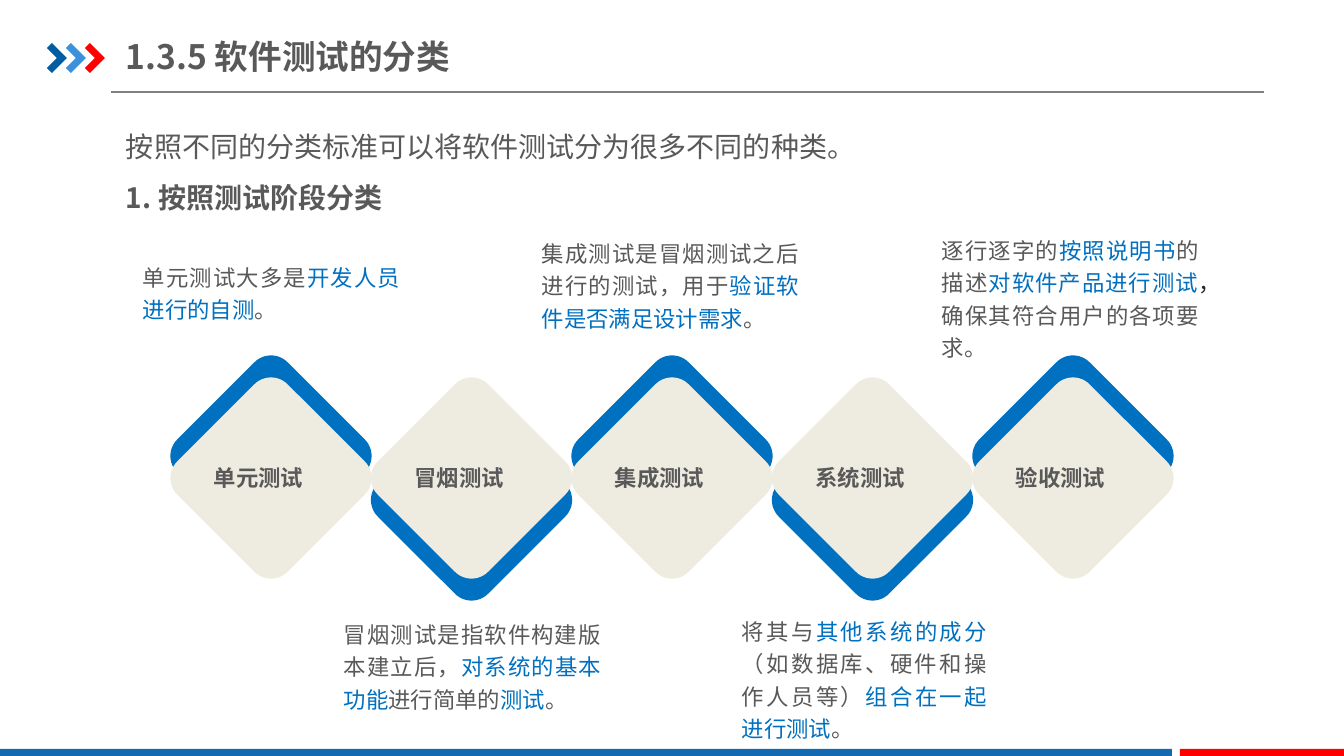
from lxml.etree import SubElement
from pptx import Presentation
from pptx.dml.color import RGBColor
from pptx.enum.shapes import MSO_CONNECTOR, MSO_SHAPE
from pptx.enum.text import MSO_ANCHOR, PP_ALIGN
from pptx.oxml.ns import qn
from pptx.util import Pt

FONT = "Noto Sans CJK SC"
GREY = RGBColor(0x59, 0x59, 0x59)
DARK = RGBColor(0x26, 0x26, 0x26)
BLUE = RGBColor(0x00, 0x70, 0xC0)
CREAM = RGBColor(0xEE, 0xEC, 0xE1)
NAVY = RGBColor(0x00, 0x5D, 0xA2)
SKY = RGBColor(0x39, 0x92, 0xDB)
RED = RGBColor(0xFF, 0x00, 0x00)
BASE = RGBColor(0x13, 0x69, 0xB2)
RULE = RGBColor(0x80, 0x80, 0x80)

TITLE = "1.3.5 软件测试的分类"
INTRO = "按照不同的分类标准可以将软件测试分为很多不同的种类。"
HEAD = "1. 按照测试阶段分类"
STAGES = [
    ("单元测试", (143, 259, 257, 62), [
        ("单元测试大多是", GREY), ("开发人员进行的自测", BLUE), ("。", GREY)]),
    ("冒烟测试", (344, 616, 257, 98), [
        ("冒烟测试是指软件构建版本建立后，", GREY), ("对系统的基本功能", BLUE),
        ("进行简单的", GREY), ("测试", BLUE), ("。", GREY)]),
    ("集成测试", (542, 235, 257, 98), [
        ("集成测试是冒烟测试之后进行的测试，用于", GREY),
        ("验证软件是否满足设计需求", BLUE), ("。", GREY)]),
    ("系统测试", (742, 613, 245, 130), [
        ("将其与", GREY), ("其他系统的成分", BLUE),
        ("（如数据库、硬件和操作人员等）", GREY),
        ("组合在一起进行测试", BLUE), ("。", GREY)]),
    ("验收测试", (942, 232, 257, 130), [
        ("逐行逐字的", GREY), ("按照说明书", BLUE), ("的描述", GREY),
        ("对软件产品进行测试", BLUE), ("，", DARK),
        ("确保其符合用户的各项要求。", GREY)]),
]
ARROW = [(0, 5), (5, 0), (20, 15), (5, 30), (0, 25), (10, 15)]
ARROWS = [NAVY, SKY, RED]
BARS = [(0, 1172, BASE), (1180, 164, RED)]
SIDE, STEP, MID, SHIFT = 156, 200.5, 400, 22
SCALE = 12192000 / 1344


def px(*nums):
    return [round(n * SCALE) for n in nums]


def place(shape, box):
    shape.left, shape.top, shape.width, shape.height = px(*box)


def paint(shape, color):
    shape.shadow.inherit = False
    shape.fill.solid()
    shape.fill.fore_color.rgb = color
    shape.line.fill.background()


def write(shape, paras, size=16, bold=(False,), align=PP_ALIGN.LEFT,
          space=1.0, inset=None, anchor=MSO_ANCHOR.TOP):
    frame = shape.text_frame
    frame.word_wrap = True
    frame.vertical_anchor = anchor
    if inset:
        (frame.margin_left, frame.margin_top,
         frame.margin_right, frame.margin_bottom) = px(*inset)
    for i, runs in enumerate(paras):
        para = frame.add_paragraph() if i else frame.paragraphs[0]
        para.alignment = align
        para.line_spacing = space
        para.space_before = Pt(0)
        if shape.is_placeholder:
            props = para._p.get_or_add_pPr()
            props.set("marL", "0")
            props.set("indent", "0")
            SubElement(props, qn("a:buNone"))
        for text, color in runs:
            run = para.add_run()
            run.text = text
            font = run.font
            font.name = FONT
            font.size = Pt(size)
            font.bold = bold[i]
            font.color.rgb = color
            SubElement(run._r.rPr, qn("a:ea")).set("typeface", FONT)


deck = Presentation()
deck.slide_width, deck.slide_height = px(1344, 756)
slide = deck.slides.add_slide(deck.slide_layouts[1])
shapes = slide.shapes

x1, y1, x2, y2 = px(111, 92, 1264, 92)
rule = shapes.add_connector(MSO_CONNECTOR.STRAIGHT, x1, y1, x2, y2)
rule.line.color.rgb = RULE
rule.line.width = Pt(0.75)
SubElement(rule._element.spPr, qn("a:effectLst"))

for i, color in enumerate(ARROWS):
    pts = [(47 + 19 * i + x, 43 + y) for x, y in ARROW]
    form = shapes.build_freeform(*pts[0], scale=SCALE)
    form.add_line_segments(pts[1:], close=True)
    paint(form.convert_to_shape(), color)

for left, width, color in BARS:
    bar = shapes.add_shape(MSO_SHAPE.RECTANGLE, *px(left, 749, width, 7))
    paint(bar, color)

title, body = slide.placeholders
place(title, (126, 29, 429, 55))
write(title, [[(TITLE, GREY)]], size=24, bold=(True,),
      inset=(0, 7, 0, 7), anchor=MSO_ANCHOR.MIDDLE)
place(body, (116, 108, 1108, 122))
write(body, [[(INTRO, GREY)], [(HEAD, GREY)]], size=20, bold=(False, True),
      align=PP_ALIGN.JUSTIFY, space=1.5, inset=(10, 5, 10, 5))

for i, (name, box, note) in enumerate(STAGES):
    left = 193 + STEP * i
    edge, turn = (MID + SHIFT, 135) if i % 2 else (MID - SHIFT, 315)
    for top, color in ((edge, BLUE), (MID, CREAM)):
        tile = shapes.add_shape(MSO_SHAPE.ROUNDED_RECTANGLE,
                                *px(left, top, SIDE, SIDE))
        tile.adjustments[0] = 0.15
        tile.rotation = turn
        paint(tile, color)
    label = shapes.add_textbox(*px(left + 11, 463, 133, 29))
    write(label, [[(name, GREY)]], bold=(True,), anchor=MSO_ANCHOR.MIDDLE)
    write(shapes.add_textbox(*px(*box)), [note], align=PP_ALIGN.JUSTIFY,
          space=1.2, inset=(0, 0, 0, 0))

deck.save("out.pptx")
